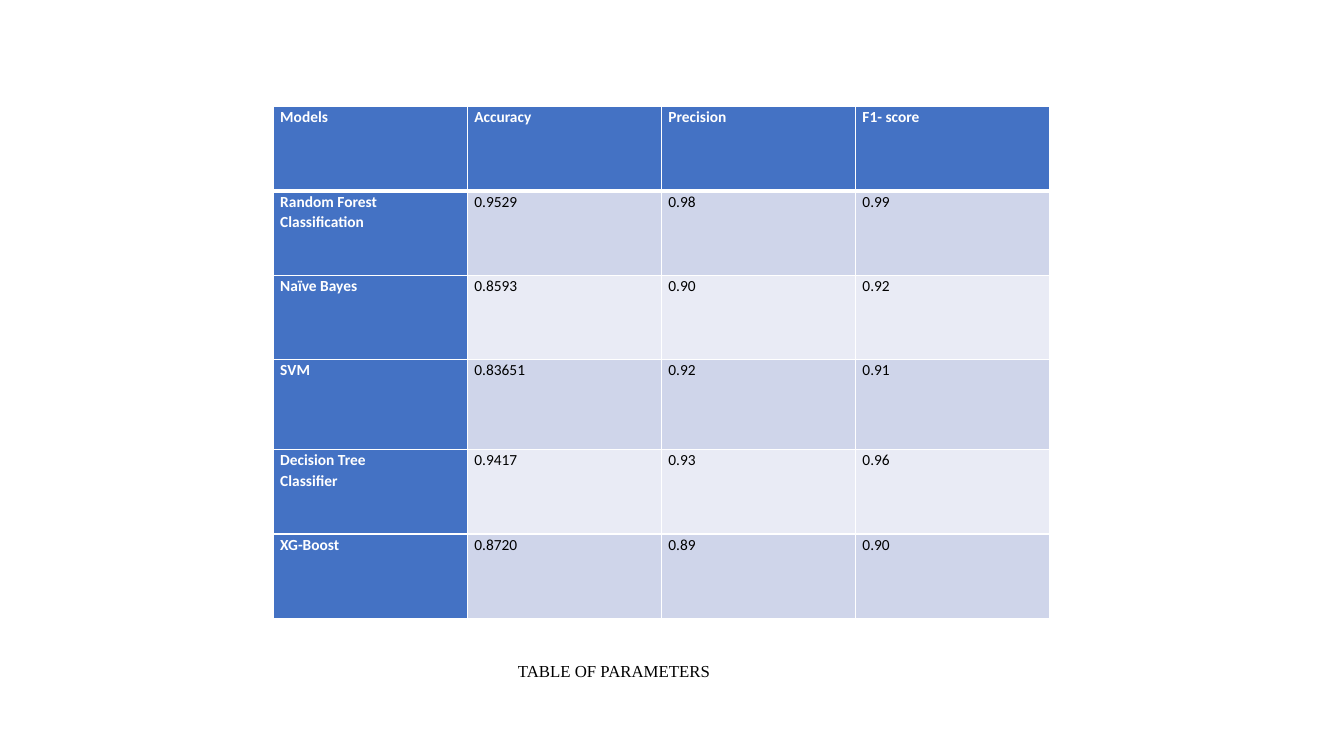
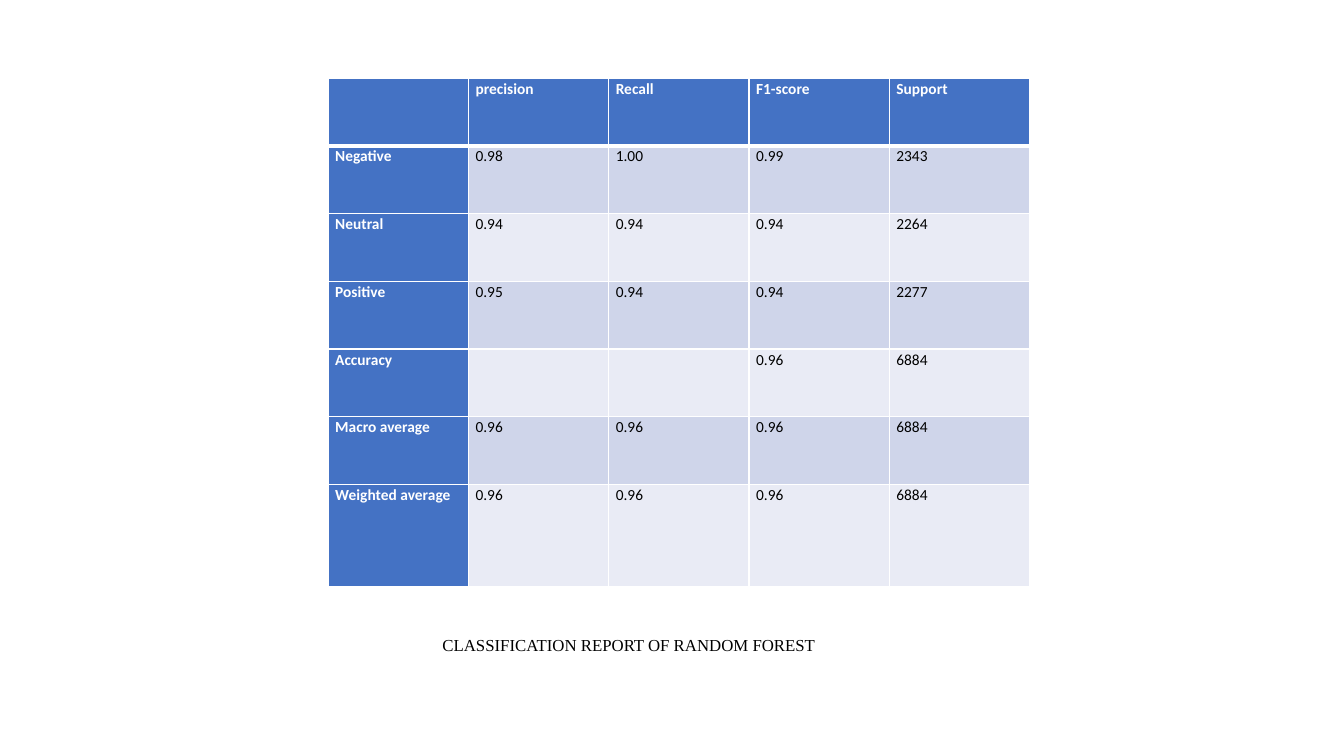
from lxml import etree
from pptx import Presentation
from pptx.dml.color import RGBColor
from pptx.enum.text import MSO_AUTO_SIZE, PP_ALIGN
from pptx.oxml.ns import qn
from pptx.util import Inches, Pt

LEFT = PP_ALIGN.LEFT
GROW = MSO_AUTO_SIZE.SHAPE_TO_FIT_TEXT

COLORS = {
    "heading": "4472C4",
    "band_dark": "CFD5EA",
    "band_light": "E9EBF5",
    "white": "FFFFFF",
    "black": "000000",
}
TABLE_FONT = "Calibri"
CAPTION_FONT = "Times New Roman"
THIN, THICK = 1, 3

MODEL_SCORES = [
    ["Models", "Accuracy", "Precision", "F1- score"],
    ["Random Forest\nClassification", "0.9529", "0.98", "0.99"],
    ["Naïve Bayes", "0.8593", "0.90", "0.92"],
    ["SVM", "0.83651", "0.92", "0.91"],
    ["Decision Tree\nClassifier", "0.9417", "0.93", "0.96"],
    ["XG-Boost", "0.8720", "0.89", "0.90"],
]
FOREST_REPORT = [
    ["", "precision", "Recall", "F1-score", "Support"],
    ["Negative", "0.98", "1.00", "0.99", "2343"],
    ["Neutral", "0.94", "0.94", "0.94", "2264"],
    ["Positive", "0.95", "0.94", "0.94", "2277"],
    ["Accuracy", "", "", "0.96", "6884"],
    ["Macro average", "0.96", "0.96", "0.96", "6884"],
    ["Weighted average", "0.96", "0.96", "0.96", "6884"],
]


def color(name):
    return RGBColor.from_string(COLORS[name])


def write_text(frame, text, font=TABLE_FONT, size=11, ink="black", bold=False,
               line_spacing=1.0, align=LEFT):
    """Fill a text frame, one paragraph for each line of text."""
    frame.word_wrap = True
    frame.text = text
    for paragraph in frame.paragraphs:
        paragraph.alignment = align
        paragraph.line_spacing = line_spacing
        paragraph.font.name = font
        paragraph.font.size = Pt(size)
        paragraph.font.bold = bold
        paragraph.font.color.rgb = color(ink)


def add_borders(cell, top, bottom):
    """Draw white cell borders; call before the fill is set, as the schema orders them."""
    properties = cell._tc.get_or_add_tcPr()
    for side, points in (("L", THIN), ("R", THIN), ("T", top), ("B", bottom)):
        line = etree.SubElement(properties, qn(f"a:ln{side}"), w=str(Pt(points)))
        fill = etree.SubElement(line, qn("a:solidFill"))
        etree.SubElement(fill, qn("a:srgbClr"), val=COLORS["white"])


class Deck:
    """Holds the style and the current slide; lengths are percentages of the slide."""

    def __init__(self):
        self.presentation = Presentation()
        self.presentation.slide_width = Inches(13.33)
        self.presentation.slide_height = Inches(7.5)
        self.slide = None

    def across(self, percent):
        return round(self.presentation.slide_width * percent / 100)

    def down(self, percent):
        return round(self.presentation.slide_height * percent / 100)

    def add_slide(self):
        blank = self.presentation.slide_layouts[6]
        self.slide = self.presentation.slides.add_slide(blank)

    def add_table(self, values, left, top, column_width, row_height, taller_rows):
        """Add a banded table; taller_rows maps a row number to its own height."""
        heights = [taller_rows.get(row, row_height) for row in range(len(values))]
        columns = len(values[0])
        table = self.slide.shapes.add_table(
            len(values), columns, self.across(left), self.down(top),
            self.across(column_width * columns), self.down(sum(heights))).table
        table.first_col = True
        for column in table.columns:
            column.width = self.across(column_width)
        for row_number, row_values in enumerate(values):
            table.rows[row_number].height = self.down(heights[row_number])
            for column_number, text in enumerate(row_values):
                cell = table.cell(row_number, column_number)
                self.style_cell(cell, text, row_number, column_number)

    def style_cell(self, cell, text, row_number, column_number):
        is_heading = row_number == 0 or column_number == 0
        band = "band_dark" if row_number % 2 else "band_light"
        add_borders(cell, top=THICK if row_number == 1 else THIN,
                    bottom=THICK if row_number == 0 else THIN)
        cell.fill.solid()
        cell.fill.fore_color.rgb = color("heading" if is_heading else band)
        cell.margin_left = cell.margin_right = Inches(0.07)
        cell.margin_top = cell.margin_bottom = 0
        write_text(cell.text_frame, text, ink="white" if is_heading else "black",
                   bold=is_heading, line_spacing=1.07)

    def add_caption(self, text, left, top, width):
        shape = self.slide.shapes.add_textbox(
            self.across(left), self.down(top), self.across(width), self.down(4))
        write_text(shape.text_frame, text, font=CAPTION_FONT, size=12)
        shape.text_frame.auto_size = GROW


def main():
    deck = Deck()

    deck.add_slide()
    deck.add_table(MODEL_SCORES, left=20.33, top=14.13, column_width=14.44,
                   row_height=11.15, taller_rows={3: 11.9})
    deck.add_caption("TABLE OF PARAMETERS", left=37.8, top=86.8, width=29)

    deck.add_slide()
    deck.add_table(FOREST_REPORT, left=24.42, top=10.33, column_width=10.44,
                   row_height=8.96, taller_rows={6: 13.47})
    deck.add_caption("CLASSIFICATION REPORT OF RANDOM FOREST",
                     left=32.18, top=83.33, width=35.8)

    deck.presentation.save("out.pptx")


if __name__ == "__main__":
    main()
